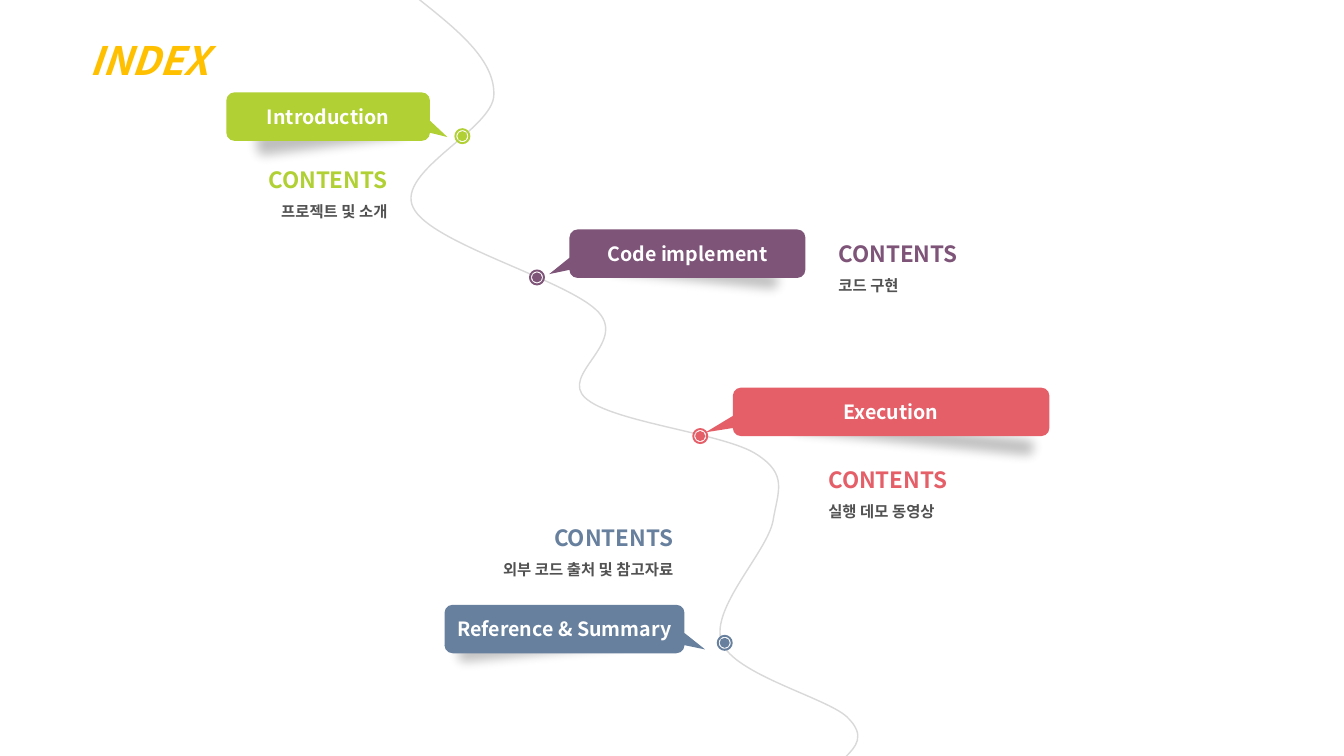
from lxml.etree import SubElement
from pptx import Presentation
from pptx.dml.color import RGBColor
from pptx.enum.shapes import MSO_SHAPE as Shape
from pptx.enum.text import MSO_ANCHOR as Anchor, PP_ALIGN as Align
from pptx.oxml.ns import qn
from pptx.util import Pt

FONT = "Noto Sans CJK KR"


def rgb(code):
    return RGBColor.from_string(code)


def write(para, text, size, color, align, space=1.0):
    para.text = text
    para.alignment = align
    para.line_spacing = space
    font = para.font
    font.name, font.size, font.bold = FONT, Pt(size), True
    font.color.rgb = rgb(color)
    east = SubElement(para._p.pPr.find(qn("a:defRPr")), qn("a:ea"))
    east.set("typeface", FONT)


deck = Presentation()
deck.slide_width, deck.slide_height = Pt(960), Pt(540)
slide = deck.slides.add_slide(deck.slide_layouts[6])
shapes = slide.shapes

# Winding road: a start point, then two handles and an end for each bend
bends = [
    (326.2, 20.9), (353.5, 42.5), (352.8, 67.7),
    (352.8, 92.2), (282.2, 122.4), (295.2, 148.3),
    (307.4, 174.2), (406.8, 200.2), (427.7, 223.2),
    (447.8, 245.5), (399.6, 267.8), (418.3, 284.4),
    (437, 301.7), (518.4, 309.6), (540.7, 324.7),
    (563, 339.1), (555.8, 350.6), (552.2, 372.2),
    (547.9, 394.6), (506.9, 434.9), (515.5, 458.6),
    (524.2, 481.7), (589.7, 498.2), (604.8, 511.9),
    (619.2, 525.6), (611.3, 533.5), (603.4, 541.4),
]
pen = shapes.build_freeform(Pt(298), Pt(-1.5))
pen.add_line_segments([(Pt(x), Pt(y)) for x, y in bends], close=False)
road = pen.convert_to_shape()
road.shadow.inherit = False
road.fill.background()
road.line.color.rgb = rgb("D9D9D9")
road.line.width = Pt(1)

# Fit the frame to the curve, leaving the handles outside it
shift = road.left - Pt(293)
for spot in road._element.iter(qn("a:pt")):
    spot.set("x", str(int(spot.get("x")) + shift))
road.left, road.width = Pt(293), Pt(319.7)
next(road._element.iter(qn("a:path"))).set("w", str(Pt(319.7)))

# Stops: label, colour, callout (x, y, width), tip side, dot centre,
# shade (x, y, width, height, turn), text (x, y, width), note
stops = [
    ("Execution", "E55F69", (523.5, 276.9, 226.1), -1, (500.2, 311.5),
     (549.4, 290.9, 203.8, 40.3, 5.7), (584.6, 302, 264.2), "실행 데모 동영상"),
    ("Code implement", "7E5478", (406.8, 163.9, 168.5), -1, (383.6, 198.2),
     (419, 175, 151.9, 40.3, 5.8), (591.8, 140.4, 264.2), "코드 구현"),
    ("Introduction", "B0D034", (161.7, 66, 145.4), 1, (330.3, 97.3),
     (167.8, 73.4, 137.5, 46.1, -7.5), (19.8, 87.8, 264.2), "프로젝트 및 소개"),
    ("Reference & Summary", "67809E", (317.5, 432, 171.4), 1, (517.7, 459.2),
     (311.8, 441.4, 151.9, 40.3, -5.8), (170.6, 343.4, 317.5),
     "외부 코드 출처 및 참고자료"),
]
# Unit circle as four arcs, each with two handles and an end
BOW = 0.55
arcs = [
    (1, BOW), (BOW, 1), (0, 1), (-BOW, 1), (-1, BOW), (-1, 0),
    (-1, -BOW), (-BOW, -1), (0, -1), (BOW, -1), (1, -BOW), (1, 0),
]
curves = [road]
for label, color, card, side, dot, cast, area, note in stops:
    # Soft shade under the callout
    shade = shapes.add_shape(Shape.RECTANGLE, *map(Pt, cast[:4]))
    shade.rotation = cast[4]
    shade.fill.solid()
    shade.fill.fore_color.rgb = rgb("000000")
    shade.line.fill.background()
    tint = shade._element.spPr.find(".//" + qn("a:srgbClr"))
    SubElement(tint, qn("a:alpha")).set("val", "26000")
    soft = SubElement(shade._element.spPr, qn("a:effectLst"))
    SubElement(soft, qn("a:softEdge")).set("rad", str(Pt(10)))

    # Ringed dot on the road
    x, y = dot
    pen = shapes.build_freeform(Pt(x + 3.6), Pt(y))
    for size in (3.6, 4.3, 5.7):
        if size > 3.6:
            pen.move_to(Pt(x + size), Pt(y))
        pen.add_line_segments(
            [(Pt(x + size * a), Pt(y + size * b)) for a, b in arcs], close=True)
    mark = pen.convert_to_shape()
    curves.append(mark)

    # Callout
    x, y, wide = card
    call = shapes.add_shape(Shape.ROUNDED_RECTANGULAR_CALLOUT,
                            Pt(x), Pt(y), Pt(wide), Pt(34.6))
    for k, value in enumerate((side * 0.586, 0.422, 0.167)):
        call.adjustments[k] = value
    for part in (mark, call):
        part.shadow.inherit = False
        part.fill.solid()
        part.fill.fore_color.rgb = rgb(color)
        part.line.fill.background()
    frame = call.text_frame
    frame.word_wrap = False
    frame.vertical_anchor = Anchor.MIDDLE
    write(frame.paragraphs[0], label, 14, "FFFFFF", Align.CENTER)

    # Heading and note
    x, y, wide = area
    frame = shapes.add_textbox(Pt(x), Pt(y), Pt(wide), Pt(91.4)).text_frame
    frame.word_wrap = True
    frame.vertical_anchor = Anchor.MIDDLE
    align = Align.RIGHT if side > 0 else Align.LEFT
    write(frame.paragraphs[0], "CONTENTS", 16, color, align, 1.5)
    write(frame.add_paragraph(), note, 11, "525252", align, 1.5)

# Turn every three straight segments into one Bezier segment
for curve in curves:
    lines = list(curve._element.iter(qn("a:lnTo")))
    for k in range(0, len(lines), 3):
        first, *rest = lines[k:k + 3]
        first.tag = qn("a:cubicBezTo")
        for line in rest:
            first.append(line[0])
            line.getparent().remove(line)

# Title
frame = shapes.add_textbox(Pt(30.2), Pt(5.4), Pt(152.6), Pt(55.4)).text_frame
frame.word_wrap = True
title = frame.paragraphs[0]
write(title, "INDEX", 28, "FFC000", Align.CENTER, 1.5)
title.font.italic = True

deck.save("out.pptx")
